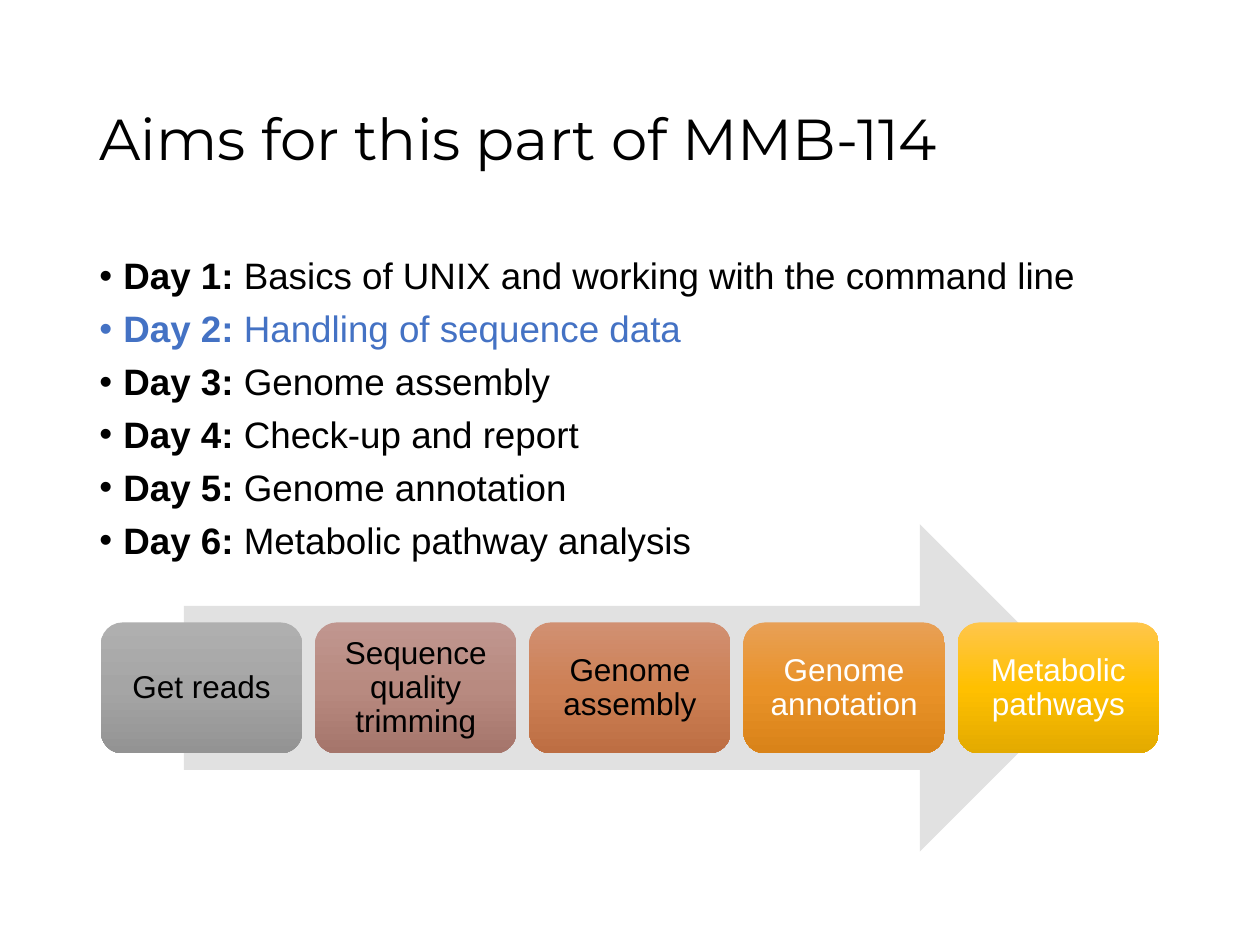
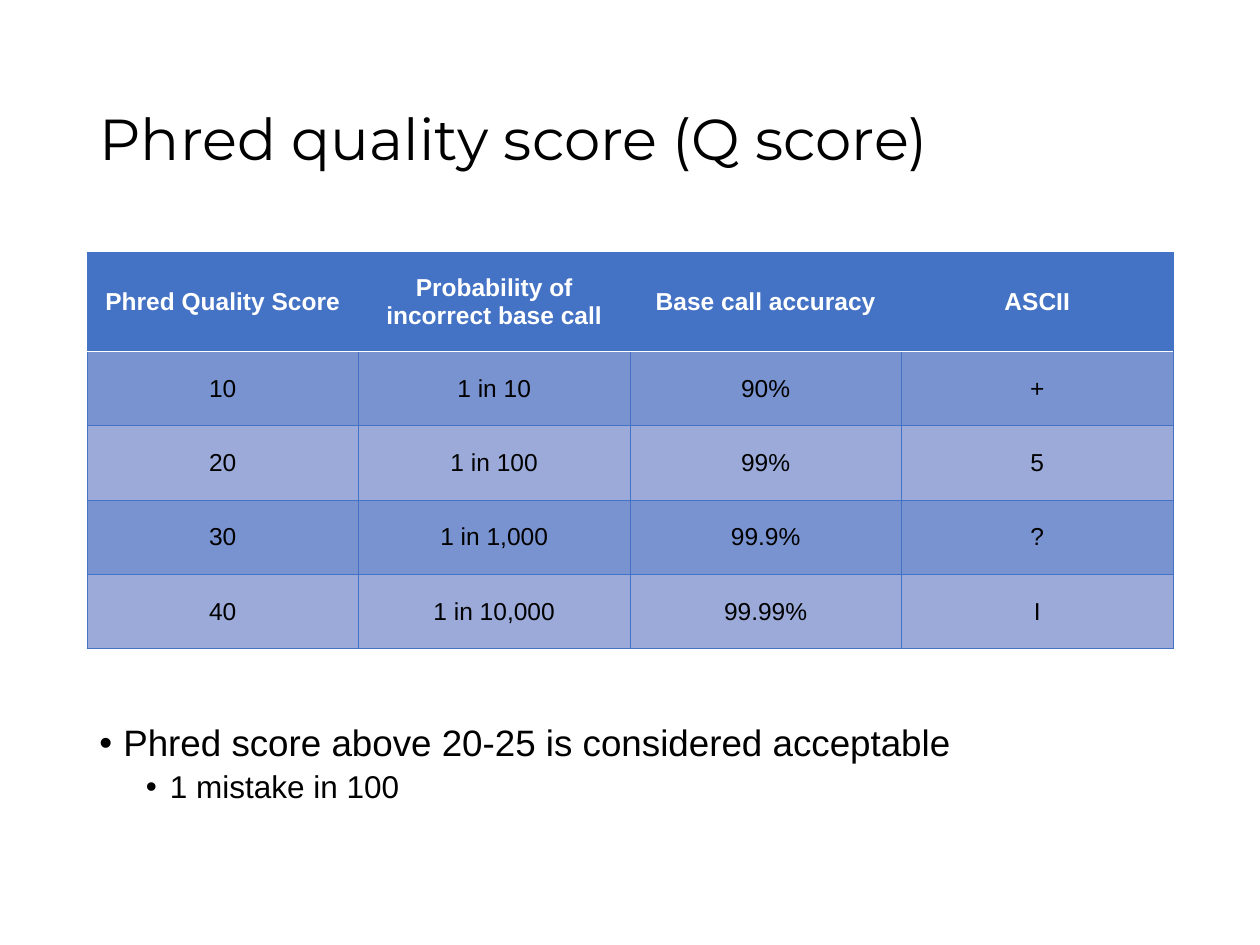
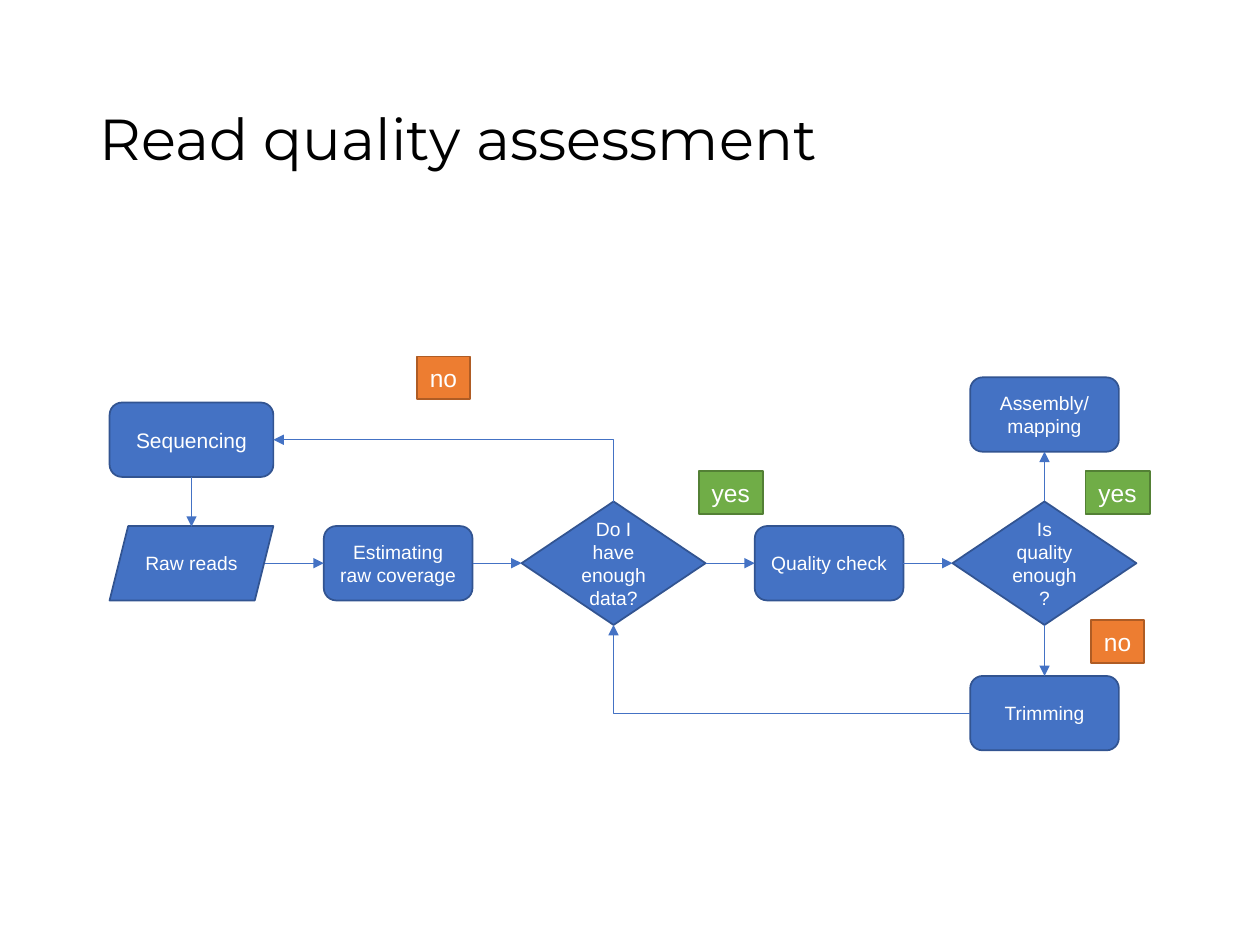
from copy import deepcopy

from pptx import Presentation
from pptx.dml.color import RGBColor
from pptx.enum.shapes import MSO_CONNECTOR, MSO_SHAPE
from pptx.enum.text import MSO_ANCHOR, MSO_AUTO_SIZE, PP_ALIGN
from pptx.oxml import parse_xml
from pptx.oxml.ns import nsdecls, qn
from pptx.util import Inches, Pt

MIDDLE, BOTTOM, TOP = MSO_ANCHOR.MIDDLE, MSO_ANCHOR.BOTTOM, MSO_ANCHOR.TOP
CENTER, LEFT = PP_ALIGN.CENTER, PP_ALIGN.LEFT
STRAIGHT, ELBOW = MSO_CONNECTOR.STRAIGHT, MSO_CONNECTOR.ELBOW
ROUNDED, DIAMOND = MSO_SHAPE.ROUNDED_RECTANGLE, MSO_SHAPE.FLOWCHART_DECISION
PARALLELOGRAM, RECTANGLE = MSO_SHAPE.PARALLELOGRAM, MSO_SHAPE.RECTANGLE
RIGHT_ARROW = MSO_SHAPE.RIGHT_ARROW

# Connection sites of boxes and diamonds
SITE_TOP, SITE_LEFT, SITE_BOTTOM, SITE_RIGHT = range(4)

BODY_FONT, TITLE_FONT = "Arial", "Montserrat"
BLACK, WHITE, BLUE, BLUE_EDGE = "000000", "FFFFFF", "4472C4", "325491"
BAND_COLOURS = ("7993D1", "9BAAD9")
ARROW_GREY = "E1E1E1"
ANSWER_COLOURS = {"yes": ("70AD47", "538035"), "no": ("ED7D31", "AF5C24")}
ANSWER_WIDTHS = {"yes": 0.51, "no": 0.42}

SLIDE_WIDTH, SLIDE_HEIGHT = 10, 7.5
MARGIN = 0.69
CONTENT_WIDTH = SLIDE_WIDTH - 2 * MARGIN
CONTENT_TOP = 2

DAYS = [
    ("Day 1:", "Basics of UNIX and working with the command line"),
    ("Day 2:", "Handling of sequence data"),
    ("Day 3:", "Genome assembly"),
    ("Day 4:", "Check-up and report"),
    ("Day 5:", "Genome annotation"),
    ("Day 6:", "Metabolic pathway analysis"),
]
CURRENT_DAY = "Day 2:"

STEPS = [
    ("Get reads", BLACK, ("AFAFAF", "A5A5A5", "939393")),
    ("Sequence quality trimming", BLACK, ("C0968F", "B88A80", "A5756B")),
    ("Genome assembly", BLACK, ("D19072", "CD8055", "BD6E43")),
    ("Genome annotation", WHITE, ("E8A056", "E99228", "D98319")),
    ("Metabolic pathways", WHITE, ("FFC64B", "FFC000", "E3AA00")),
]

SCORES = [
    ("Phred Quality Score", "Probability of incorrect base call", "Base call accuracy", "ASCII"),
    ("10", "1 in 10", "90%", "+"),
    ("20", "1 in 100", "99%", "5"),
    ("30", "1 in 1,000", "99.9%", "?"),
    ("40", "1 in 10,000", "99.99%", "I"),
]


def rgb(colour):
    return RGBColor.from_string(colour)


def inches(*lengths):
    return [Inches(length) for length in lengths]


def style(paragraph, size, colour, align=LEFT, font=BODY_FONT):
    paragraph.alignment = align
    paragraph.font.name = font
    paragraph.font.size = Pt(size)
    paragraph.font.color.rgb = rgb(colour)


def add_page(deck, title):
    page = deck.slides.add_slide(deck.slide_layouts[5])
    box = page.shapes.title
    box.left, box.top, box.width, box.height = inches(MARGIN, 0.4, CONTENT_WIDTH, 1.45)
    frame = box.text_frame
    frame.auto_size = MSO_AUTO_SIZE.NONE
    frame.vertical_anchor = MIDDLE
    frame.text = title
    frame.paragraphs[0].line_spacing = 0.9
    style(frame.paragraphs[0], 33, BLACK, font=TITLE_FONT)
    return page


def add_body(page, top, bottom, anchor):
    box = page.shapes.add_textbox(*inches(MARGIN, top, CONTENT_WIDTH, bottom - top))
    box.text_frame.word_wrap = True
    box.text_frame.vertical_anchor = anchor
    return box.text_frame


def add_bullet(frame, spans, level=0, colour=BLACK):
    """Adds a bulleted paragraph made of (text, bold) spans."""
    is_first = not frame.paragraphs[0].runs
    para = frame.paragraphs[0] if is_first else frame.add_paragraph()
    para.level = level
    para.line_spacing = 0.9
    para.space_before = Pt(0 if is_first else (7.5, 3.75)[level])
    properties = para._p.get_or_add_pPr()
    properties.set("marL", str(Inches((0.19, 0.56)[level])))
    properties.set("indent", str(-Inches(0.19)))
    properties.append(parse_xml(f'<a:buFont {nsdecls("a")} typeface="Arial"/>'))
    properties.append(parse_xml(f'<a:buChar {nsdecls("a")} char="•"/>'))
    style(para, (21, 18)[level], colour)
    for text, bold in spans:
        span = para.add_run()
        span.text = text
        span.font.bold = bold


def add_box(page, kind, bounds, fill, edge=None):
    box = page.shapes.add_shape(kind, *inches(*bounds))
    box.shadow.inherit = False
    box.fill.solid()
    box.fill.fore_color.rgb = rgb(fill)
    if edge:
        box.line.color.rgb = rgb(edge)
        box.line.width = Pt(1)
    else:
        box.line.fill.background()
    return box


def label(box, text, size, colour=WHITE):
    frame = box.text_frame
    frame.vertical_anchor = MIDDLE
    para = frame.paragraphs[0]
    for number, line in enumerate(text.split("\n")):
        if number:
            para.add_line_break()
        para.add_run().text = line
    style(para, size, colour, CENTER)
    return frame


def shade(box, colours):
    """Fills a box from top to bottom with three evenly spaced colours."""
    box.fill.gradient()
    box.fill.gradient_angle = 270
    stop_list = box._element.spPr.find(".//" + qn("a:gsLst"))
    stop_list.insert(1, deepcopy(stop_list[0]))
    for stop, position, colour in zip(box.fill.gradient_stops, (0, 0.5, 1), colours):
        stop.position = position
        stop.color.rgb = rgb(colour)


def add_process(page):
    add_box(page, RIGHT_ARROW, (1.46, 4.16, 7.14, 2.6), ARROW_GREY)
    for number, (text, text_colour, colours) in enumerate(STEPS):
        box = add_box(page, ROUNDED, (0.8 + 1.7 * number, 4.94, 1.6, 1.04), colours[1])
        shade(box, colours)
        frame = label(box, text, 18, text_colour)
        frame.paragraphs[0].line_spacing = 0.9
        frame.margin_left = frame.margin_right = Inches(0.07)
        frame.margin_top = frame.margin_bottom = Inches(0.07)


def set_border(cell, side, colour, width):
    cell._tc.get_or_add_tcPr().append(parse_xml(
        f'<a:ln{side} {nsdecls("a")} w="{Pt(width)}"><a:solidFill>'
        f'<a:srgbClr val="{colour}"/></a:solidFill></a:ln{side}>'))


def add_score_table(page):
    row_count, column_count = len(SCORES), len(SCORES[0])
    heights = [0.79] + [0.59] * (row_count - 1)
    bounds = inches(MARGIN, CONTENT_TOP, CONTENT_WIDTH, sum(heights))
    table = page.shapes.add_table(row_count, column_count, *bounds).table
    for column in table.columns:
        column.width = Inches(CONTENT_WIDTH / column_count)
    for row, (height, values) in enumerate(zip(heights, SCORES)):
        table.rows[row].height = Inches(height)
        is_header = row == 0
        for column, value in enumerate(values):
            cell = table.cell(row, column)
            for side in "LRTB":
                under_header = (row, side) in ((0, "B"), (1, "T"))
                set_border(cell, side, *((WHITE, 1) if under_header else (BLUE, 0.5)))
            cell.fill.solid()
            cell.fill.fore_color.rgb = rgb(BLUE if is_header else BAND_COLOURS[(row - 1) % 2])
            cell.vertical_anchor = MIDDLE
            cell.text = value
            para = cell.text_frame.paragraphs[0]
            style(para, 14, WHITE if is_header else BLACK, CENTER)
            para.font.bold = is_header


def centred(x, y, width, height):
    return x - width / 2, y - height / 2, width, height


def add_node(page, kind, text, x, y, width=1.18, height=0.59, size=11):
    box = add_box(page, kind, centred(x, y, width, height), BLUE, BLUE_EDGE)
    label(box, text, size)
    return box


def add_answer(page, text, x, y):
    box = add_box(page, RECTANGLE, centred(x, y, ANSWER_WIDTHS[text], 0.34), *ANSWER_COLOURS[text])
    label(box, text, 14).word_wrap = False


def add_link(page, start, end, kind=STRAIGHT, arrow="tail"):
    """Links two ends, each a (shape, site) pair or a free (x, y) point in inches."""
    link = page.shapes.add_connector(kind, 0, 0, 0, 0)
    if isinstance(start[0], float):
        link.begin_x, link.begin_y = inches(*start)
    else:
        link.begin_connect(*start)
    if isinstance(end[0], float):
        link.end_x, link.end_y = inches(*end)
    else:
        link.end_connect(*end)
    link.line.color.rgb = rgb(BLUE)
    link.line.width = Pt(0.5)
    properties = link._element.spPr
    if kind == ELBOW:
        properties.find(qn("a:prstGeom")).set("prst", "bentConnector2")
    properties.find(qn("a:ln")).append(
        parse_xml(f'<a:{arrow}End {nsdecls("a")} type="triangle"/>'))
    properties.append(parse_xml(f'<a:effectLst {nsdecls("a")}/>'))


def add_flowchart(page):
    first_x, main_y = 1.52, 4.47
    estimate_x, data_x, check_x, quality_x = (3.16 + 1.71 * step for step in range(4))

    sequencing = add_node(page, ROUNDED, "Sequencing", first_x, 3.49, 1.3, size=12)
    add_node(page, PARALLELOGRAM, "Raw reads", first_x, main_y, 1.3)
    estimate = add_node(page, ROUNDED, "Estimating raw coverage", estimate_x, main_y)
    enough_data = add_node(page, DIAMOND, "Do I have enough data?", data_x, main_y, 1.46, 0.98)
    check = add_node(page, ROUNDED, "Quality check", check_x, main_y)
    good_quality = add_node(page, DIAMOND, "Is quality enough?", quality_x, main_y, 1.46, 0.98)
    assembly = add_node(page, ROUNDED, "Assembly/\nmapping", quality_x, 3.29)
    trimming = add_node(page, ROUNDED, "Trimming", quality_x, 5.66)

    add_link(page, (sequencing, SITE_BOTTOM), (first_x, 4.18))
    add_link(page, (2.1, main_y), (estimate, SITE_LEFT))
    for before, after in ((estimate, enough_data), (enough_data, check), (check, good_quality)):
        add_link(page, (before, SITE_RIGHT), (after, SITE_LEFT))
    add_link(page, (good_quality, SITE_TOP), (assembly, SITE_BOTTOM))
    add_link(page, (good_quality, SITE_BOTTOM), (trimming, SITE_TOP))
    add_link(page, (sequencing, SITE_RIGHT), (enough_data, SITE_TOP), ELBOW, arrow="head")
    add_link(page, (trimming, SITE_LEFT), (enough_data, SITE_BOTTOM), ELBOW)

    for text, x, y in (("no", 3.52, 3), ("yes", 5.8, 3.91),
                       ("yes", 8.87, 3.91), ("no", 8.87, 5.09)):
        add_answer(page, text, x, y)


def main():
    deck = Presentation()
    deck.slide_width, deck.slide_height = inches(SLIDE_WIDTH, SLIDE_HEIGHT)

    aims = add_page(deck, "Aims for this part of MMB-114")
    frame = add_body(aims, CONTENT_TOP, 6.76, TOP)
    for day, topic in DAYS:
        colour = BLUE if day == CURRENT_DAY else BLACK
        add_bullet(frame, [(day, True), (f" {topic}", False)], colour=colour)
    add_process(aims)

    scores = add_page(deck, "Phred quality score (Q score)")
    add_score_table(scores)
    frame = add_body(scores, 5.5, 6.44, BOTTOM)
    add_bullet(frame, [("Phred score above 20-25 is considered acceptable", False)])
    add_bullet(frame, [("1 mistake in 100", False)], level=1)

    assessment = add_page(deck, "Read quality assessment")
    add_flowchart(assessment)

    deck.save("out.pptx")


if __name__ == "__main__":
    main()
